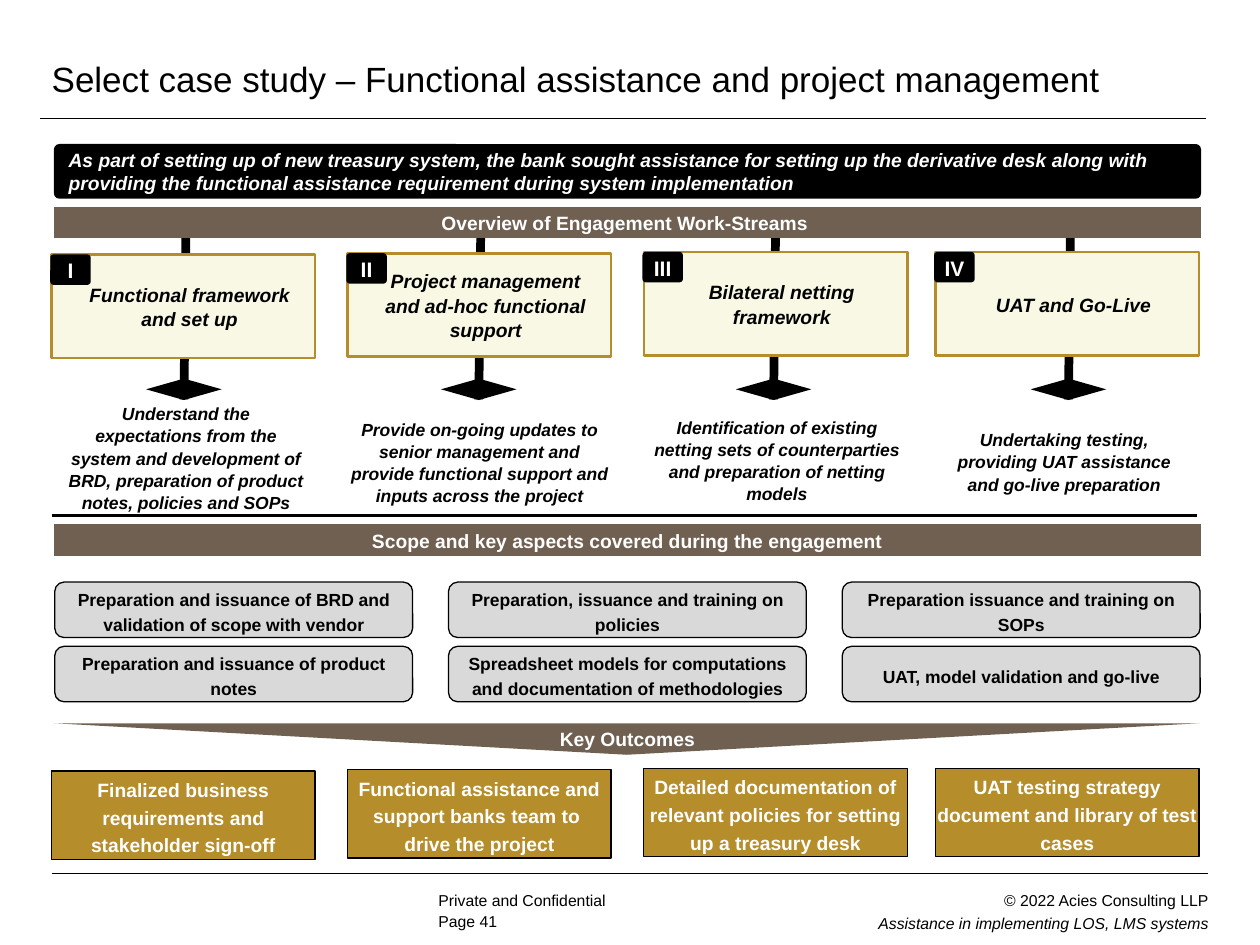
from lxml.etree import SubElement as Sub
from pptx import Presentation
from pptx.dml.color import RGBColor as Rgb
from pptx.enum.shapes import MSO_CONNECTOR as Link, MSO_SHAPE as Kind
from pptx.enum.text import MSO_ANCHOR as Anchor, PP_ALIGN as Align
from pptx.oxml.ns import qn
from pptx.util import Inches, Pt

WIDE, HIGH = Inches(10), Inches(7.5)
UNIT = WIDE / 100
INK = {
    "black": "000000", "white": "FFFFFF", "brown": "706051",
    "gold": "B58D2B", "cream": "F9F8E5", "gray": "D9D9D9",
}
LEAD = (
    "As part of setting up of new treasury system, the bank sought assistance "
    "for setting up the derivative desk along with providing the functional "
    "assistance requirement during system implementation"
)
STREAMS = [
    ("I", 4.1, 0.2, "Functional framework and set up",
     (4.3, 32.2, 20.9, 8.2),
     "Understand the expectations from the system and development of BRD, "
     "preparation of product notes, policies and SOPs",
     "Finalized business requirements and stakeholder sign-off"),
    ("II", 27.6, 0.1, "Project management and ad-hoc functional support",
     (26.6, 32.55, 22.9, 8.2),
     "Provide on-going updates to senior management and provide functional "
     "support and inputs across the project",
     "Functional assistance and support banks team to \ndrive the project"),
    ("III", 51.1, 0, "Bilateral netting framework",
     (50.9, 32.4, 21.5, 8.2),
     "Identification of existing netting sets of counterparties and "
     "preparation of netting models",
     "Detailed documentation of relevant policies for setting up a treasury desk"),
    ("IV", 74.25, 0, "UAT and Go-Live",
     (74, 32.5, 20.9, 8.2),
     "Undertaking testing, providing UAT assistance and go-live preparation",
     "UAT testing strategy document and library of test cases"),
]
SCOPE = [
    ["Preparation and issuance of BRD and validation of scope with vendor",
     "Preparation, issuance and training on policies",
     "Preparation issuance and training on SOPs"],
    ["Preparation and issuance of product notes",
     "Spreadsheet models for computations and documentation of methodologies",
     "UAT, model validation and go-live"],
]


def grid(*cells):
    """Turn grid cells, a hundred to the slide's width, into lengths."""
    return [round(cell * UNIT) for cell in cells]


def tint(name):
    """Look up a colour by name."""
    return Rgb.from_string(INK[name])


def write(para, text, size, ink="black", bold=False, slant=False, lead=None, align=Align.CENTER):
    """Fill a paragraph run by run, with a line break between runs."""
    para.alignment = align
    if lead:
        para.line_spacing = lead
    for i, part in enumerate(text.split("\n")):
        if i:
            para.add_line_break()
        run = para.add_run()
        run.text = part
        font = run.font
        font.name, font.size = "Arial", Pt(size)
        font.bold, font.italic = bold, slant
        font.color.rgb = tint(ink)


def frame(shape, pad, side=None):
    """Set the wrap, anchor and margins of a shape's text and return its frame."""
    body = shape.text_frame
    body.word_wrap = True
    body.vertical_anchor = Anchor.MIDDLE
    body.margin_top = body.margin_bottom = Inches(pad)
    body.margin_left = body.margin_right = Inches(pad if side is None else side)
    return body


def block(slide, kind, spot, fill=None, edge=None, wide=1, curve=None):
    """Add a flat preset shape."""
    shape = slide.shapes.add_shape(kind, *grid(*spot))
    shape.shadow.inherit = False
    if fill:
        shape.fill.solid()
        shape.fill.fore_color.rgb = tint(fill)
    else:
        shape.fill.background()
    if edge:
        shape.line.color.rgb = tint(edge)
        shape.line.width = Pt(wide)
    else:
        shape.line.fill.background()
    if curve:
        shape.adjustments[0] = curve
    return shape


def label(shape, text, size, ink="black", pad=0.1, side=None, inset=0, **style):
    """Write one paragraph in a shape."""
    para = frame(shape, pad, side).paragraphs[0]
    if inset:
        props = para._p.get_or_add_pPr()
        props.set("marL", str(Inches(inset)))
        props.set("indent", "0")
    write(para, text, size, ink, bold=True, **style)


def rule(slide, x1, y1, x2, y2, wide):
    """Draw a black line."""
    line = slide.shapes.add_connector(Link.STRAIGHT, *grid(x1, y1, x2, y2))
    line.line.color.rgb = tint("black")
    line.line.width = Pt(wide)
    Sub(line._element.spPr, qn("a:effectLst"))


def band(slide, top, text):
    """Add a brown heading band."""
    shape = block(slide, Kind.FLOWCHART_PROCESS, (4.25, top, 91.1, 2.5), "brown")
    label(shape, text, 11, "white", lead=1.06)


def note(slide, spot, lines, align):
    """Add footer text from pairs of text and style."""
    box = slide.shapes.add_textbox(*grid(*spot))
    body = frame(box, 0)
    body.vertical_anchor = Anchor.TOP
    for i, (text, style) in enumerate(lines):
        para = body.add_paragraph() if i else body.paragraphs[0]
        write(para, text, 9, align=align, **style)


def title(slide, text):
    """Set the title in a one-cell table ruled along its foot."""
    table = slide.shapes.add_table(1, 1, *grid(3.2, 3.3, 92.5, 6.1)).table
    table.first_row = table.horz_banding = False
    cell = table.cell(0, 0)
    cell.vertical_anchor = Anchor.MIDDLE
    cell.margin_left = cell.margin_right = Inches(0.09)
    cell.margin_top = cell.margin_bottom = Inches(0.04)
    props = cell._tc.get_or_add_tcPr()
    for side in "LRT":
        Sub(Sub(props, qn(f"a:ln{side}")), qn("a:noFill"))
    edge = Sub(props, qn("a:lnB"), w=str(Pt(1)))
    Sub(Sub(edge, qn("a:solidFill")), qn("a:srgbClr"), val=INK["black"])
    cell.fill.background()
    write(cell.text_frame.paragraphs[0], text, 20, align=Align.LEFT)


def stream(slide, step, mark, left, drop, name, spot, text, result):
    """Build one work-stream column from stem to outcome."""
    mid = 14.65 + 23.4 * step
    rule(slide, mid + 0.1, 18.8, mid - 0.05, 31.7, 5)
    block(slide, Kind.UP_DOWN_ARROW, (mid - 3.05, 30.05, 6, 1.7), "black")
    card = block(slide, Kind.FLOWCHART_PROCESS, (left, 20 + drop, 20.9, 8.2), "cream", "gold", 1.5)
    label(card, name, 11, inset=0.1, slant=True, lead=1.06)
    badge = block(slide, Kind.ROUNDED_RECTANGLE, (left, 20.1 + drop, 3, 2.2),
                  "black", "black", 1.5, 0.073)
    label(badge, mark, 12, "white", 0, lead=1.06)
    aim = block(slide, Kind.FLOWCHART_PROCESS, spot, "white")
    label(aim, text, 10, slant=True, lead=1.06)
    goal = block(slide, Kind.FLOWCHART_PROCESS, (left, 61 + drop, 20.9, 7), "gold", "black", 0.75)
    label(goal, result, 11, "white", 0, lead=1.2)


def scope(slide):
    """Lay out the scope items in rows and columns."""
    for row, items in enumerate(SCOPE):
        for col, text in enumerate(items):
            spot = (4.35 + 31.25 * col, 46.2 + 5.1 * row, 28.4, 4.4)
            item = block(slide, Kind.ROUNDED_RECTANGLE, spot, "gray", "black", 0.75)
            label(item, text, 10, pad=0, lead=1.2)


def foot(slide):
    """Add the footer rule and notes."""
    rule(slide, 4.1, 69.3, 95.9, 69.3, 0.5)
    note(slide, (34.8, 70.7, 17.7, 1.5), [("Private and Confidential", {})], Align.LEFT)
    note(slide, (34.8, 72.35, 5.5, 1.1), [("Page 41", {})], Align.LEFT)
    note(slide, (49.5, 70.5, 46.4, 3.4), [
        ("© 2022 Acies Consulting LLP", {"lead": 1.14}),
        ("Assistance in implementing LOS, LMS systems", {"lead": 1.2, "slant": True}),
    ], Align.RIGHT)


def main():
    """Build the slide and save it."""
    deck = Presentation()
    deck.slide_width, deck.slide_height = WIDE, HIGH
    slide = deck.slides.add_slide(deck.slide_layouts[6])
    title(slide, "Select case study – Functional assistance and project management")
    lead = block(slide, Kind.ROUNDED_RECTANGLE, (4.35, 11.5, 90.9, 4.2), "black", "black", 1, 0.087)
    label(lead, LEAD, 11, "white", 0.05, 0.1, slant=True, align=Align.LEFT)
    for step, parts in enumerate(STREAMS):
        stream(slide, step, *parts)
    band(slide, 16.4, "Overview of Engagement Work-Streams ")
    rule(slide, 4.1, 40.9, 95, 40.9, 1.5)
    band(slide, 41.6, "Scope and key aspects covered during the engagement")
    scope(slide)
    block(slide, Kind.ISOSCELES_TRIANGLE, (4.3, 57.4, 90.9, 2.5), "brown").rotation = 180
    key = block(slide, Kind.FLOWCHART_ALTERNATE_PROCESS, (38.1, 57.5, 21.4, 2.1))
    label(key, "Key Outcomes", 11, "white", inset=0.2, lead=1.06)
    foot(slide)
    deck.save("out.pptx")


if __name__ == "__main__":
    main()
